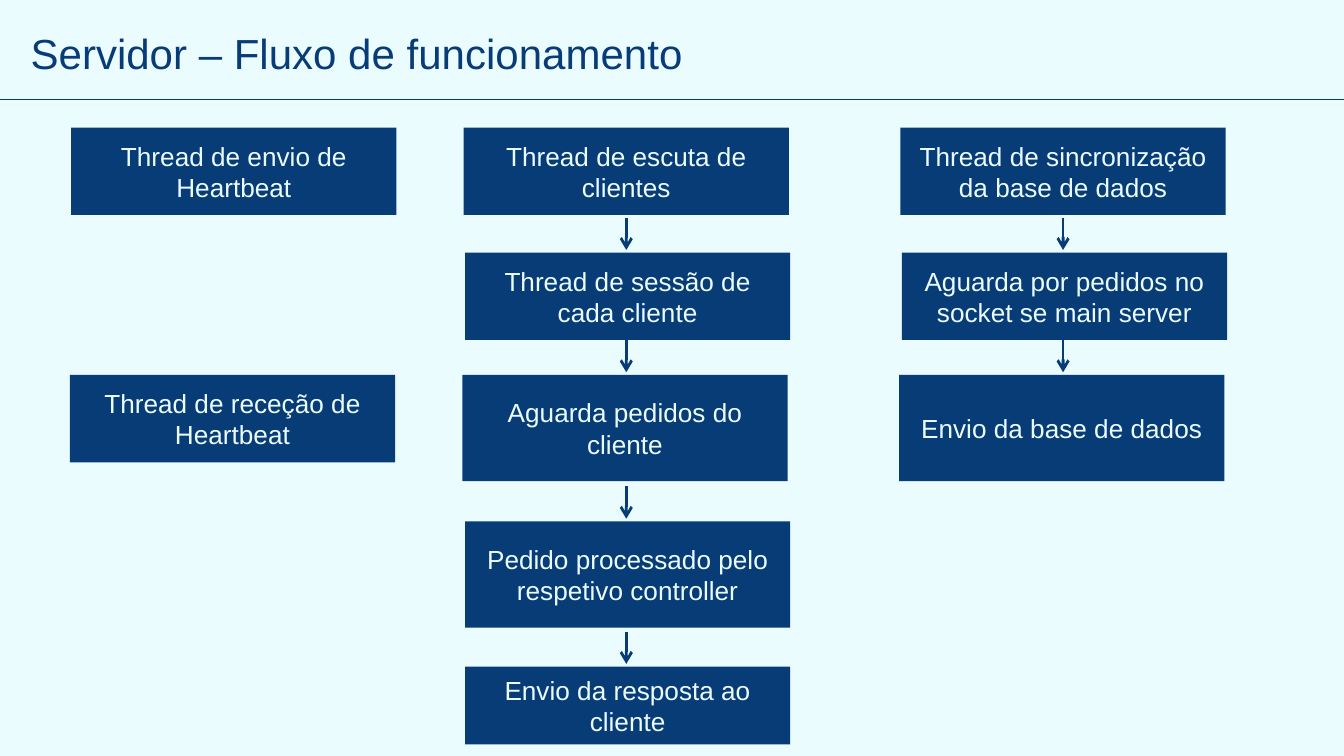
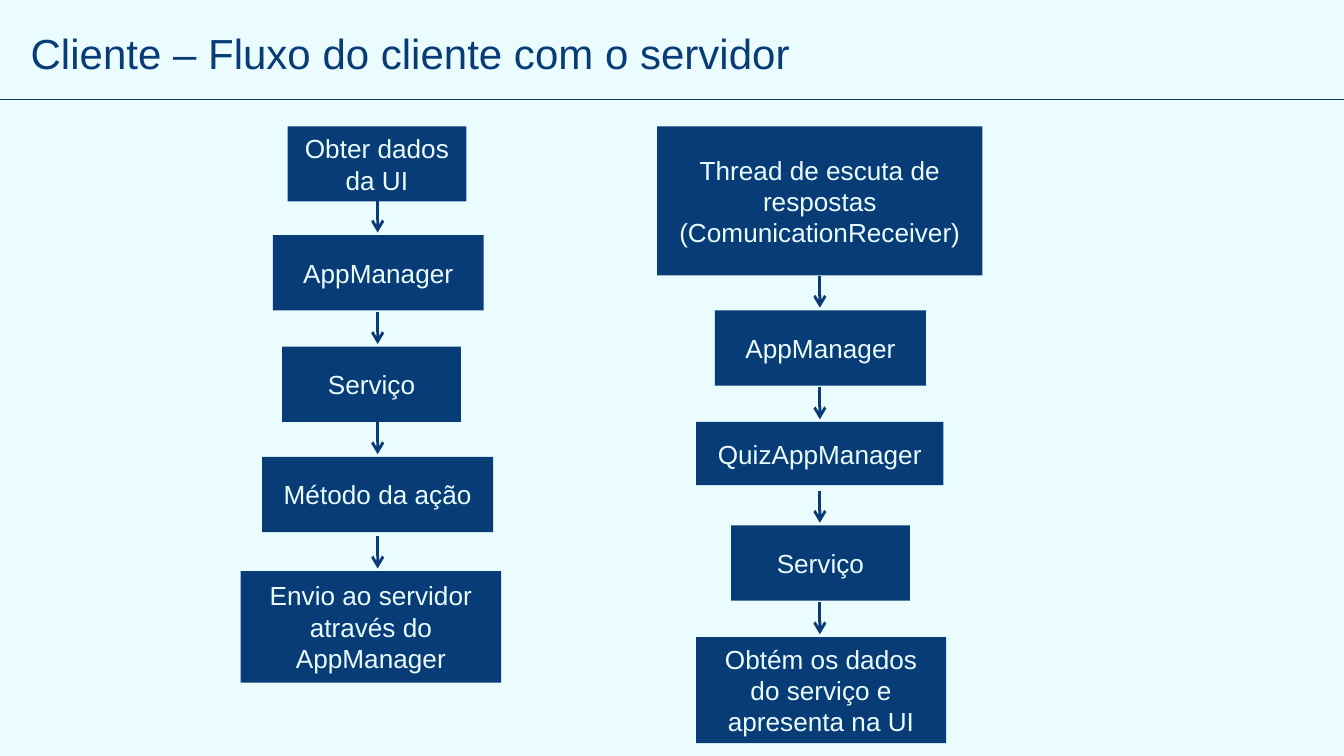
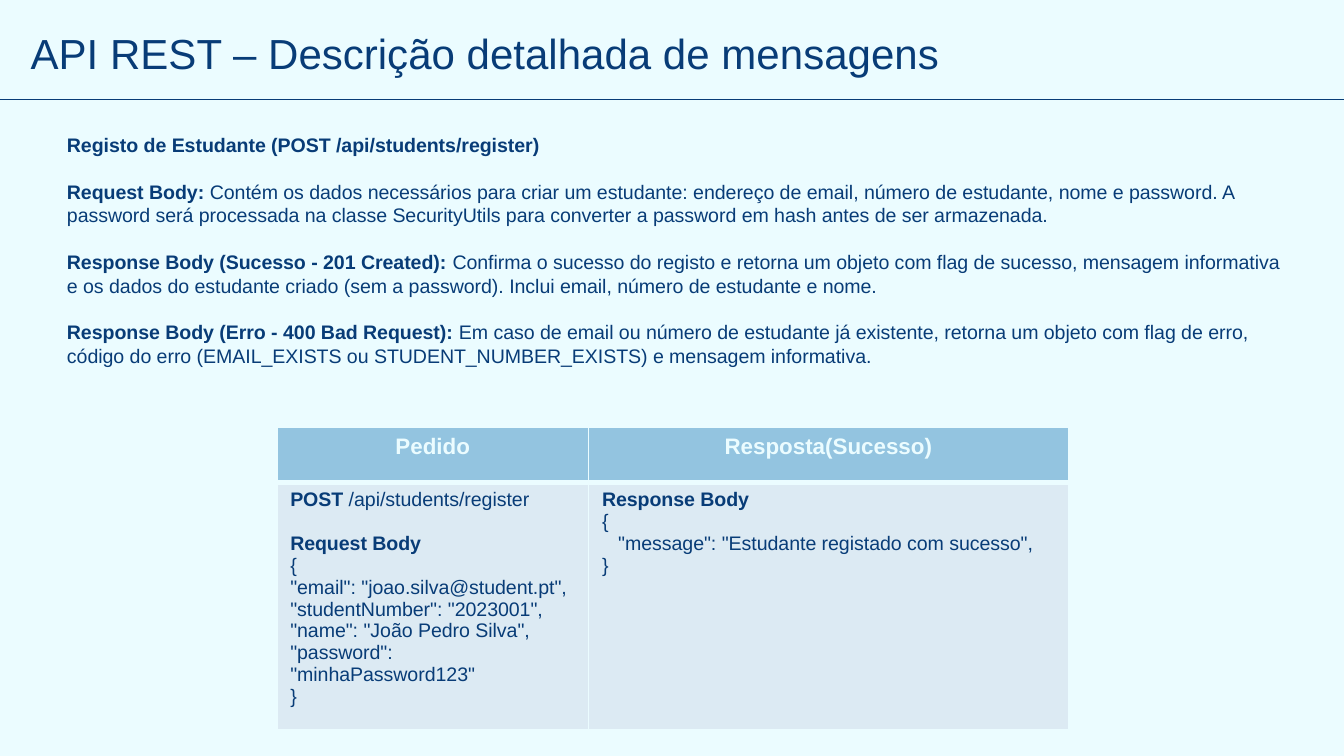
"""Builds three slides on server flow, client flow and REST API messages."""
from lxml import etree
from pptx import Presentation
from pptx.dml.color import RGBColor
from pptx.enum.shapes import MSO_CONNECTOR, MSO_SHAPE
from pptx.enum.text import MSO_ANCHOR, PP_ALIGN
from pptx.oxml.ns import qn
from pptx.util import Pt

PX = 9144
FONT = "Arial"
NAVY, ICE, SKY, MIST = "083C77", "EBFCFF", "93C4E0", "DCEAF3"
STRAIGHT, RECTANGLE = MSO_CONNECTOR.STRAIGHT, MSO_SHAPE.RECTANGLE
TOP, MIDDLE, BOTTOM = MSO_ANCHOR.TOP, MSO_ANCHOR.MIDDLE, MSO_ANCHOR.BOTTOM
LEFT, CENTER = PP_ALIGN.LEFT, PP_ALIGN.CENTER
ARROW_LENGTH, ARROW_CLEARANCE = 24, 2
BLANK_LINE = 12.5

TITLES = [
    "Servidor – Fluxo de funcionamento",
    "Cliente – Fluxo do cliente com o servidor",
    "API REST – Descrição detalhada de mensagens",
]

# Each chain: arrow axis, then steps as left, top, width, height, text.
SERVER_CHAINS = [
    (174, [(53, 95, 242, 65, "Thread de envio de Heartbeat")]),
    (173, [(52, 279, 242, 65, "Thread de receção de Heartbeat")]),
    (466, [
        (345, 95, 242, 65, "Thread de escuta de clientes"),
        (346, 188, 242, 65, "Thread de sessão de cada cliente"),
        (344, 279, 242, 79, "Aguarda pedidos do cliente"),
        (346, 388, 242, 79, "Pedido processado pelo respetivo controller"),
        (346, 496, 242, 58, "Envio da resposta ao cliente"),
    ]),
    (791, [
        (670, 95, 242, 65, "Thread de sincronização da base de dados"),
        (671, 188, 242, 65, "Aguarda por pedidos no socket se main server"),
        (669, 279, 242, 79, "Envio da base de dados"),
    ]),
]
CLIENT_CHAINS = [
    (281, [
        (214, 94, 133, 56, "Obter dados da UI"),
        (203, 175, 157, 56, "AppManager"),
        (210, 258, 133, 56, "Serviço"),
        (195, 340, 172, 56, "Método da ação"),
        (179, 425, 194, 83, "Envio ao servidor através do AppManager"),
    ]),
    (610, [
        (489, 94, 242, 111, "Thread de escuta de respostas\n(ComunicationReceiver)"),
        (532, 231, 157, 56, "AppManager"),
        (518, 314, 184, 47, "QuizAppManager"),
        (544, 391, 133, 56, "Serviço"),
        (518, 474, 186, 79, "Obtém os dados do serviço e apresenta na UI"),
    ]),
]

# Each paragraph: bold lead, plain text, space before in points.
DESCRIPTION = [
    ("Registo de Estudante (POST /api/students/register)", "", 0),
    ("Request Body: ", "Contém os dados necessários para criar um estudante: endereço de email, "
     "número de estudante, nome e password. A password será processada na classe SecurityUtils "
     "para converter a password em hash antes de ser armazenada.", BLANK_LINE),
    ("Response Body (Sucesso - 201 Created): ", "Confirma o sucesso do registo e retorna um objeto "
     "com flag de sucesso, mensagem informativa e os dados do estudante criado (sem a password). "
     "Inclui email, número de estudante e nome.", BLANK_LINE),
    ("Response Body (Erro - 400 Bad Request): ", "Em caso de email ou número de estudante já "
     "existente, retorna um objeto com flag de erro,", BLANK_LINE),
    ("", "código do erro (EMAIL_EXISTS ou STUDENT_NUMBER_EXISTS) e mensagem informativa.", 0),
]
REQUEST = [
    ("POST", " /api/students/register", 0),
    ("Request Body", "", 12),
    ("", "{", 0),
    ("", '"email": "joao.silva@student.pt",', 0),
    ("", '"studentNumber": "2023001",', 0),
    ("", '"name": "João Pedro Silva",', 0),
    ("", '"password": "minhaPassword123"', 0),
    ("", "}", 0),
]
RESPONSE = [
    ("Response Body", "", 0),
    ("", "{", 0),
    ("", '   "message": "Estudante registado com sucesso",', 0),
    ("", "}", 0),
]
MESSAGES = [
    [[("Pedido", "", 0)], [("Resposta(Sucesso)", "", 0)]],
    [REQUEST, RESPONSE],
]


def write(frame, paragraphs, size, color, align=LEFT, anchor=TOP):
    frame.word_wrap = True
    frame.vertical_anchor = anchor
    for index, (lead, plain, gap) in enumerate(paragraphs):
        paragraph = frame.add_paragraph() if index else frame.paragraphs[0]
        paragraph.alignment = align
        paragraph.space_before = Pt(gap)
        paragraph.font.name = FONT
        paragraph.font.size = Pt(size)
        paragraph.font.color.rgb = RGBColor.from_string(color)
        if lead:
            run = paragraph.add_run()
            run.text = lead
            run.font.bold = True
        if plain:
            paragraph.add_run().text = plain


def draw_line(slide, x1, y1, x2, y2, width, head=None):
    line = slide.shapes.add_connector(STRAIGHT, x1 * PX, y1 * PX, x2 * PX, y2 * PX)
    line.line.color.rgb = RGBColor.from_string(NAVY)
    line.line.width = Pt(width)
    properties = line.element.spPr
    if head:
        etree.SubElement(properties.find(qn("a:ln")), qn("a:tailEnd"), type=head)
    etree.SubElement(properties, qn("a:effectLst"))


deck = Presentation()
deck.slide_width = 1000 * PX
deck.slide_height = deck.slide_width * 9 // 16
backdrop = deck.slide_master.background.fill
backdrop.solid()
backdrop.fore_color.rgb = RGBColor.from_string(ICE)

for heading in TITLES:
    slide = deck.slides.add_slide(deck.slide_layouts[6])
    title = slide.shapes.add_textbox(13 * PX, 19 * PX, 950 * PX, 49 * PX).text_frame
    title.margin_top = title.margin_bottom = 10 * PX
    write(title, [("", heading, 0)], 22.5, NAVY, anchor=BOTTOM)
    draw_line(slide, 0, 74, 1000, 74, 0.75)

server, client, api = deck.slides
for slide, chains in [(server, SERVER_CHAINS), (client, CLIENT_CHAINS)]:
    for axis, steps in chains:
        for position, (left, top, width, height, text) in enumerate(steps):
            step = slide.shapes.add_shape(RECTANGLE, left * PX, top * PX, width * PX, height * PX)
            step.shadow.inherit = False
            step.fill.solid()
            step.fill.fore_color.rgb = RGBColor.from_string(NAVY)
            step.line.fill.background()
            lines = [("", line, 0) for line in text.split("\n")]
            write(step.text_frame, lines, 14, ICE, CENTER, MIDDLE)
            if position:
                tip = top - ARROW_CLEARANCE
                draw_line(slide, axis, tip - ARROW_LENGTH, axis, tip, 1.5, "arrow")

description = api.shapes.add_textbox(40 * PX, 94 * PX, 925 * PX, 187 * PX)
write(description.text_frame, DESCRIPTION, 10.5, NAVY)

messages = api.shapes.add_table(2, 2, 206 * PX, 318 * PX, 589 * PX, 212 * PX).table
messages.horz_banding = False
for column, width in zip(messages.columns, (232, 357)):
    column.width = width * PX
for row, height in zip(messages.rows, (41, 171)):
    row.height = height * PX

ROW_STYLES = [(SKY, 12, ICE, CENTER, {"lnB": 3}), (MIST, 10.5, NAVY, LEFT, {"lnT": 3})]
for row, contents, (fill, size, color, align, thick) in zip(messages.rows, MESSAGES, ROW_STYLES):
    for cell, paragraphs in zip(row.cells, contents):
        properties = cell._tc.get_or_add_tcPr()
        for side in ("lnL", "lnR", "lnT", "lnB"):
            border = etree.SubElement(properties, qn(f"a:{side}"), w=str(Pt(thick.get(side, 1))))
            solid = etree.SubElement(border, qn("a:solidFill"))
            etree.SubElement(solid, qn("a:srgbClr"), val=ICE)
        cell.fill.solid()
        cell.fill.fore_color.rgb = RGBColor.from_string(fill)
        write(cell.text_frame, paragraphs, size, color, align)

deck.save("out.pptx")
